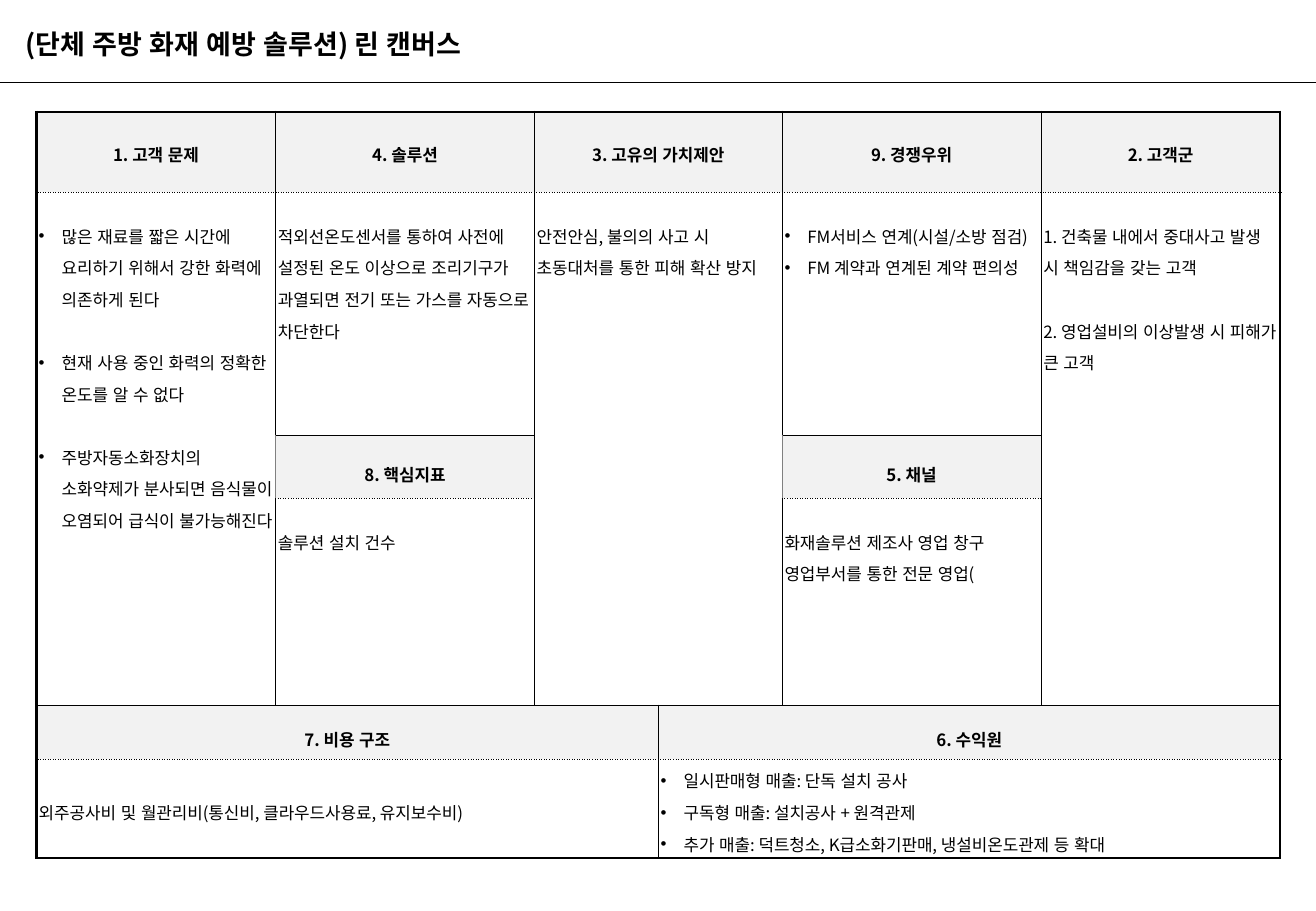
import pptx
import pptx.util
import pptx.dml.color
import pptx.enum.text
import pptx.enum.shapes
import pptx.enum.lang
from lxml import etree
from pptx.oxml.ns import qn

Cm, Pt = pptx.util.Cm, pptx.util.Pt
ALIGN, ANCHOR = pptx.enum.text.PP_ALIGN, pptx.enum.text.MSO_ANCHOR
FONT = "Noto Sans CJK KR"
BLACK, GREY, SHADE = "000000", "808080", "F2F2F2"


def color(code):
    return pptx.dml.color.RGBColor.from_string(code)


def write(para, text, size, bold):
    run = para.add_run()
    run.text = text
    font = run.font
    font.name, font.size, font.bold = FONT, Pt(size), bold
    font.color.rgb = color(BLACK)
    font.language_id = pptx.enum.lang.MSO_LANGUAGE_ID.KOREAN
    latin = run._r.rPr.find(qn("a:latin"))
    east = etree.Element(qn("a:ea"), typeface=FONT)
    latin.addnext(east)


prs = pptx.Presentation()
prs.slide_width, prs.slide_height = Cm(27.51), Cm(19.05)
slide = prs.slides.add_slide(prs.slide_layouts[6])

# Title and rule
rule = slide.shapes.add_connector(
    pptx.enum.shapes.MSO_CONNECTOR.STRAIGHT, 0, Cm(1.73), prs.slide_width, Cm(1.73))
rule.line.color.rgb = color(BLACK)
rule.line.width = Pt(0.75)
etree.SubElement(rule._element.spPr, qn("a:effectLst"))

title = slide.shapes.add_textbox(Cm(0.28), Cm(0.23), Cm(15.98), Cm(1.37)).text_frame
title.word_wrap = True
title.vertical_anchor = ANCHOR.MIDDLE
write(title.paragraphs[0], "(단체 주방 화재 예방 솔루션) 린 캔버스", 16, True)

# Table grid
cols = [5, 5.41, 2.59, 2.59, 5.41, 5]
rows = [1.68, 5.08, 1.32, 4.32, 1.14, 2.06]
table = slide.shapes.add_table(
    len(rows), len(cols), Cm(0.76), Cm(2.34), Cm(sum(cols)), Cm(sum(rows))).table
table.first_row = table.horz_banding = False
for col, width in zip(table.columns, cols):
    col.width = Cm(width)
for row, height in zip(table.rows, rows):
    row.height = Cm(height)

# Blocks: row, column, rows down, columns across, kind, gap between items, items
blocks = [
    (0, 0, 1, 1, "head", 0, ["1. 고객 문제"]),
    (0, 1, 1, 1, "head", 0, ["4. 솔루션"]),
    (0, 2, 1, 2, "head", 0, ["3. 고유의 가치제안"]),
    (0, 4, 1, 1, "head", 0, ["9. 경쟁우위"]),
    (0, 5, 1, 1, "head", 0, ["2. 고객군"]),
    (1, 0, 3, 1, "list", 18.7, [
        "많은 재료를 짧은 시간에 요리하기 위해서 강한 화력에 의존하게 된다",
        "현재 사용 중인 화력의 정확한 온도를 알 수 없다",
        "주방자동소화장치의 소화약제가 분사되면 음식물이 오염되어 급식이 불가능해진다"]),
    (1, 1, 1, 1, "text", 0, [
        "적외선온도센서를 통하여 사전에 설정된 온도 이상으로 조리기구가 과열되면 "
        "전기 또는 가스를 자동으로 차단한다"]),
    (1, 2, 3, 2, "text", 0, ["안전안심, 불의의 사고 시 초동대처를 통한 피해 확산 방지"]),
    (1, 4, 1, 1, "list", 0, [
        "FM서비스 연계(시설/소방 점검)", "FM 계약과 연계된 계약 편의성"]),
    (1, 5, 3, 1, "text", 18.7, [
        "1. 건축물 내에서 중대사고 발생 시 책임감을 갖는 고객",
        "2. 영업설비의 이상발생 시 피해가 큰 고객"]),
    (2, 1, 1, 1, "head", 0, ["8. 핵심지표"]),
    (2, 4, 1, 1, "head", 0, ["5. 채널"]),
    (3, 1, 1, 1, "text", 0, ["솔루션 설치 건수"]),
    (3, 4, 1, 1, "text", 0, ["화재솔루션 제조사 영업 창구", "영업부서를 통한 전문 영업("]),
    (4, 0, 1, 3, "head", 0, ["7. 비용 구조"]),
    (4, 3, 1, 3, "head", 0, ["6. 수익원"]),
    (5, 0, 1, 3, "text", 0, ["외주공사비 및 월관리비(통신비, 클라우드사용료, 유지보수비)"]),
    (5, 3, 1, 3, "list", 0, [
        "일시판매형 매출: 단독 설치 공사",
        "구독형 매출: 설치공사 + 원격관제",
        "추가 매출: 덕트청소, K급소화기판매, 냉설비온도관제 등 확대"]),
]

for top, left, down, across, kind, gap, items in blocks:
    head = kind == "head"
    low, right = top + down - 1, left + across - 1
    cell = table.cell(top, left)
    if down * across > 1:
        cell.merge(table.cell(low, right))

    # Borders: thick on the frame, dotted under headings, thin elsewhere
    for r in range(top, low + 1):
        for c in range(left, right + 1):
            props = table.cell(r, c)._tc.get_or_add_tcPr()
            first = (r, c) == (top, left)
            sides = [("lnL", c == left, left == 0, False),
                     ("lnR", c == right, right == 5, False),
                     ("lnT", r == top, top == 0, not head),
                     ("lnB", r == low, low == 5, head)]
            for tag, edge, frame, dotted in sides:
                if not (edge or first):
                    continue
                soft = tag == "lnL" and top == 2
                width = 1.7 if frame else 0.5 if soft else 0.28
                line = etree.SubElement(props, qn("a:" + tag), w=str(int(Pt(width))))
                fill = etree.SubElement(line, qn("a:solidFill"))
                etree.SubElement(fill, qn("a:srgbClr"), val=GREY if soft else BLACK)
                etree.SubElement(line, qn("a:prstDash"), val="sysDot" if dotted else "solid")

    # Fill and margins
    if head:
        cell.fill.solid()
        cell.fill.fore_color.rgb = color(SHADE)
    else:
        cell.fill.background()
    middle = head or top == 5
    cell.vertical_anchor = ANCHOR.MIDDLE if middle else ANCHOR.TOP
    cell.margin_left = cell.margin_right = Cm(0.05)
    cell.margin_top = Cm(0.03 if middle else 0.51)
    cell.margin_bottom = Cm(0.03)

    # Text
    frame = cell.text_frame
    for i, item in enumerate(items):
        para = frame.add_paragraph() if i else frame.paragraphs[0]
        para.alignment = ALIGN.CENTER if head else ALIGN.LEFT
        para.line_spacing = 1.3 if not head else 1.6 if top else 1.2
        if i and gap:
            para.space_before = Pt(gap)
        if kind == "list":
            props = para._p.get_or_add_pPr()
            props.set("marL", str(int(Cm(0.48))))
            props.set("indent", str(-int(Cm(0.48))))
            etree.SubElement(props, qn("a:buFont"), typeface="Arial")
            etree.SubElement(props, qn("a:buChar"), char="•")
        write(para, item, 10, head)

prs.save("out.pptx")
